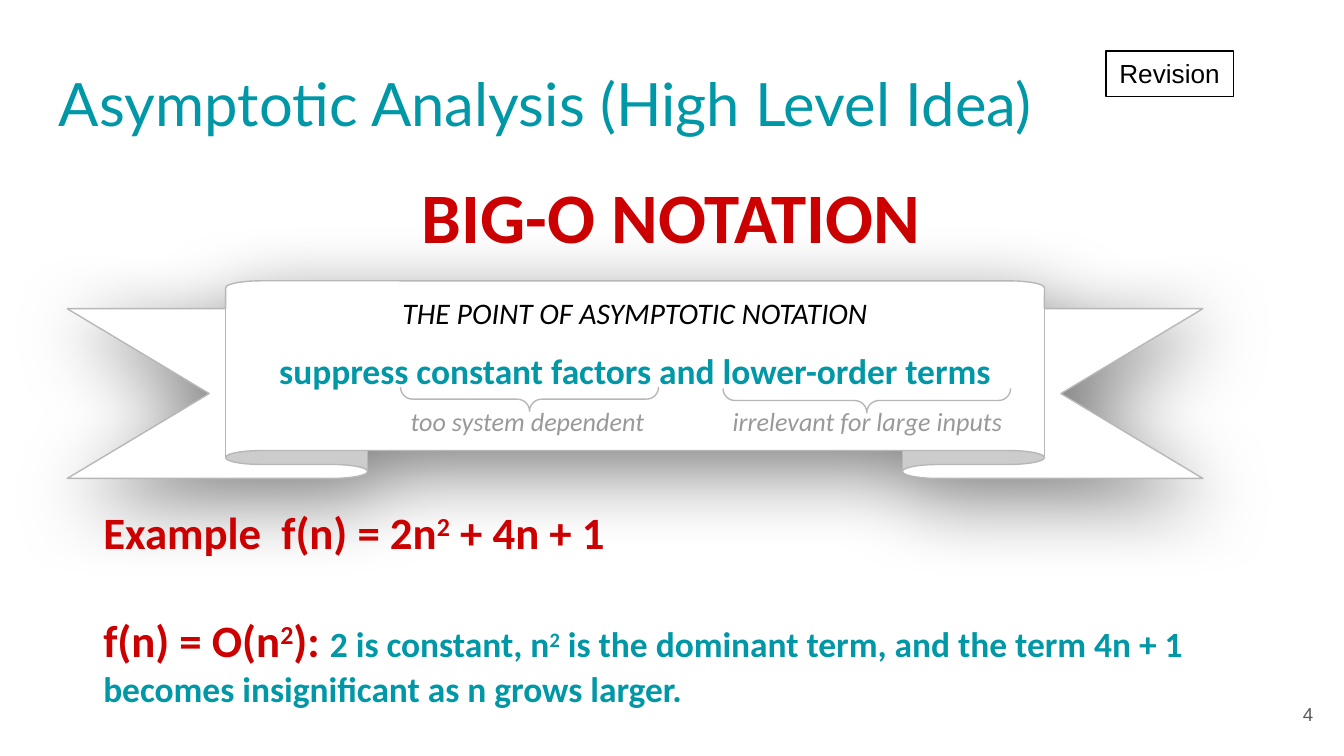
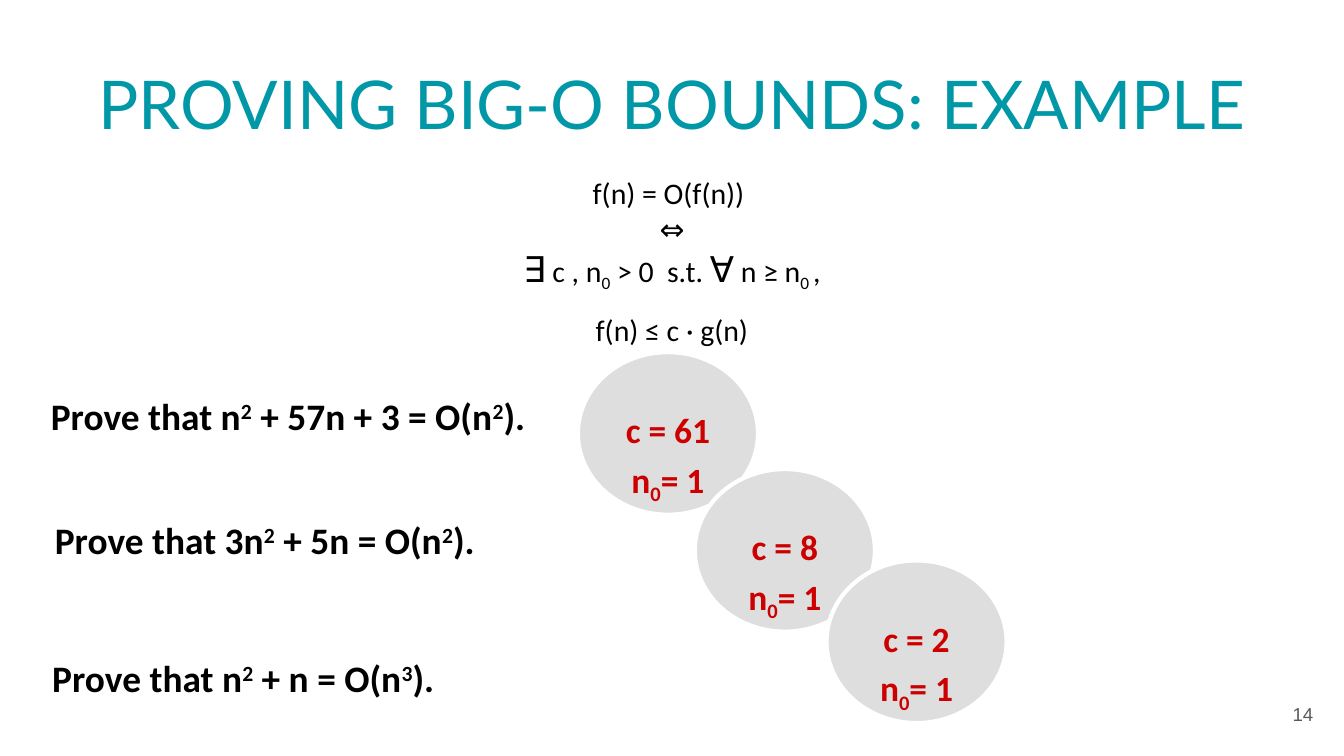
from lxml import etree
from pptx import Presentation
from pptx import util as u
from pptx.dml.color import RGBColor
from pptx.enum import shapes, text
from pptx.oxml.ns import qn

COLORS = {
    "teal": "0097A7",
    "red": "CC0000",
    "black": "000000",
    "white": "FFFFFF",
    "gray": "999999",
    "outline": "B7B7B7",
    "circle": "DEDEDE",
    "number": "595959",
}

STYLES = {
    "title": ("teal", {"name": "Lato", "size": u.Pt(32)}),
    "wide_title": ("teal", {"name": "Lato", "size": u.Pt(36)}),
    "headline": ("red", {"name": "Calibri", "size": u.Pt(38), "bold": True}),
    "motto": ("black", {"name": "Calibri", "size": u.Pt(16), "italic": True}),
    "point": ("teal", {"name": "Calibri", "size": u.Pt(19), "bold": True}),
    "remark": ("gray", {"name": "Calibri", "size": u.Pt(14), "italic": True}),
    "formula": ("red", {"name": "Calibri", "size": u.Pt(24), "bold": True}),
    "definition": ("black", {"name": "Calibri", "size": u.Pt(16)}),
    "quantifier": ("black", {"name": "Calibri", "size": u.Pt(19)}),
    "claim": ("black", {"name": "Calibri", "size": u.Pt(20), "bold": True}),
    "constant": ("red", {"name": "Calibri", "size": u.Pt(19), "bold": True}),
    "number": ("number", {"name": "Arial", "size": u.Pt(10)}),
    "tag": ("black", {"name": "Arial", "size": u.Pt(14)}),
}

SCRIPTS = {"^": "30000", "_": "-25000"}
ALIGN = text.PP_ALIGN
ANCHOR = text.MSO_ANCHOR
SHAPE = shapes.MSO_SHAPE
CENTER = {"alignment": ALIGN.CENTER}
EVEN = (0.1, 0.1, 0.1, 0.1)


def color(name):
    return RGBColor.from_string(COLORS[name])


def apply_format(target, values):
    for name, value in values.items():
        setattr(target, name, value)


def add_runs(paragraph, markup, style):
    color_name, font_format = STYLES[style]
    for piece in markup.split("|"):
        if piece == "\n":
            paragraph.add_line_break()
            continue
        run = paragraph.add_run()
        run.text = piece.lstrip("^_")
        apply_format(run.font, font_format)
        run.font.color.rgb = color(color_name)
        if piece[0] in SCRIPTS:
            run._r.get_or_add_rPr().set("baseline", SCRIPTS[piece[0]])


def write(shape, paragraphs, anchor=ANCHOR.MIDDLE, insets=EVEN, **frame_format):
    frame = shape.text_frame
    left, top, right, bottom = map(u.Inches, insets)
    apply_format(frame, {
        "word_wrap": True, "vertical_anchor": anchor,
        "margin_left": left, "margin_top": top,
        "margin_right": right, "margin_bottom": bottom, **frame_format,
    })
    for index, (runs, paragraph_format) in enumerate(paragraphs):
        paragraph = frame.add_paragraph() if index else frame.paragraphs[0]
        apply_format(paragraph, {"alignment": ALIGN.LEFT, **paragraph_format})
        for markup, style in runs:
            add_runs(paragraph, markup, style)


def add_box(parent, box):
    return parent.shapes.add_textbox(*map(u.Inches, box))


def add_figure(parent, kind, box, fill=None, line=None, width=0.75, adjustments=()):
    shape = parent.shapes.add_shape(kind, *map(u.Inches, box))
    shape.shadow.inherit = False
    for index, value in enumerate(adjustments):
        shape.adjustments[index] = value
    if fill:
        shape.fill.solid()
        shape.fill.fore_color.rgb = color(fill)
    else:
        shape.fill.background()
    if line:
        shape.line.color.rgb = color(line)
        shape.line.width = u.Pt(width)
    else:
        shape.line.fill.background()
    return shape


def add_shadow(shape, blur, distance, angle, opacity):
    effects = shape._element.spPr.find(qn("a:effectLst"))
    shadow = etree.SubElement(effects, qn("a:outerShdw"), {
        "blurRad": str(u.Pt(blur)), "dist": str(u.Pt(distance)),
        "dir": str(angle * 60000), "algn": "bl", "rotWithShape": "0",
    })
    tint = etree.SubElement(shadow, qn("a:srgbClr"), val=COLORS["black"])
    etree.SubElement(tint, qn("a:alpha"), val=str(opacity * 1000))


def add_slide(presentation, title, style, alignment, number):
    slide = presentation.slides.add_slide(presentation.slide_layouts[6])
    shape = add_figure(slide, SHAPE.RECTANGLE, (0.34, 0.41, 9.32, 0.71), line="white", width=2.25)
    write(shape, [([(title, style)], {"alignment": alignment})])
    write(add_box(slide, (9.27, 5.1, 0.6, 0.43)),
          [([(number, "number")], {"alignment": ALIGN.RIGHT})])
    return slide


def add_panel(slide, box, adjustment, paragraphs, insets=EVEN):
    panel = add_figure(slide, SHAPE.ROUNDED_RECTANGLE, box, fill="white", adjustments=[adjustment])
    write(panel, paragraphs, insets=insets)


def add_remark(parent, remark, remark_box, brace_box):
    write(add_box(parent, remark_box), [([(remark, "remark")], CENTER)])
    brace = add_figure(parent, SHAPE.LEFT_BRACE, brace_box, line="outline", adjustments=[0.5, 0.5])
    brace.rotation = 270


def add_ribbon(slide):
    group = slide.shapes.add_group_shape()
    ribbon = add_figure(group, SHAPE.UP_RIBBON, (0.5, 2.09, 8.45, 1.47), fill="white",
                        line="outline", adjustments=[0.141, 0.721])
    add_shadow(ribbon, blur=42.8, distance=12, angle=69, opacity=50)
    write(ribbon, [
        ([("THE POINT OF ASYMPTOTIC NOTATION", "motto")], CENTER),
        ([("suppress constant factors and lower-order terms", "point")],
         {**CENTER, "space_before": u.Pt(10)}),
    ], anchor=ANCHOR.TOP)
    add_remark(group, "too system dependent", (2.73, 2.99, 2.39, 0.28), (3.85, 2.01, 0.18, 1.92))
    add_remark(group, "irrelevant for large inputs", (5.1, 2.99, 2.71, 0.28),
               (6.36, 1.91, 0.18, 2.14))


def add_claim(slide, left, top, claim):
    write(add_box(slide, (left, top, 9.32, 0.55)),
          [([(claim, "claim")], {"line_spacing": 1.14, "space_after": u.Pt(5)})],
          anchor=ANCHOR.TOP)


def add_constants(slide, left, top, constant):
    circle = add_figure(slide, SHAPE.OVAL, (left, top, 1.34, 1.21), fill="circle",
                        line="white", width=2.25)
    paragraph_format = {**CENTER, "line_spacing": 1.14}
    write(circle, [([(line, "constant")], paragraph_format)
                   for line in (f"c = {constant}", "n|_0|= 1")],
          insets=(0.1, 0.31, 0.1, 0))


def build_idea(presentation):
    slide = add_slide(presentation, "Asymptotic Analysis (High Level Idea)", "title",
                      ALIGN.LEFT, "4")
    add_panel(slide, (1.74, 1.05, 6.51, 1.1), 0.341,
              [([("BIG-O NOTATION", "headline")], CENTER)])
    add_ribbon(slide)
    write(add_box(slide, (0.67, 3.71, 9.19, 1.63)), [
        ([("Example  f(n) = 2n|^2| + 4n + 1", "formula")], {}),
        ([("f(n) = O(n|^2|): ", "formula"),
          ("2 is constant, n|^2| is the dominant term, and the term 4n + 1 "
           "becomes insignificant as n grows larger.", "point")],
         {"space_before": u.Pt(29)}),
    ], anchor=ANCHOR.TOP, insets=(0.1, 0.05, 0.1, 0.05),
        auto_size=text.MSO_AUTO_SIZE.SHAPE_TO_FIT_TEXT)
    tag = add_figure(slide, SHAPE.RECTANGLE, (8.23, 0.38, 0.95, 0.34), line="black")
    write(tag, [([("Revision", "tag")], {})], anchor=ANCHOR.TOP,
          insets=(0.1, 0.05, 0.1, 0.05), word_wrap=False,
          auto_size=text.MSO_AUTO_SIZE.SHAPE_TO_FIT_TEXT)


def build_example(presentation):
    slide = add_slide(presentation, "PROVING BIG-O BOUNDS: EXAMPLE", "wide_title",
                      ALIGN.CENTER, "14")
    add_panel(slide, (3.6, 1.27, 2.8, 1.35), 0.167, [
        ([("f(n) = O(f(n)) ", "definition")], CENTER),
        ([("⇔|\n", "definition"), ("∃", "quantifier"),
          (" c , n|_0| > 0  s.t. ", "definition"), ("∀", "quantifier"),
          (" n ≥ n|_0 |,", "definition")], CENTER),
        ([("f(n) ≤ c · g(n)", "definition")], {**CENTER, "space_before": u.Pt(10)}),
    ], insets=(0, 0, 0, 0))
    for left, top, claim in (
        (0.28, 2.78, "Prove that n|^2| + 57n + 3 = O(n|^2|)."),
        (0.31, 3.7, "Prove that 3n|^2| + 5n = O(n|^2|)."),
        (0.29, 4.73, "Prove that n|^2| + n = O(n|^3|)."),
    ):
        add_claim(slide, left, top, claim)
    for left, top, constant in ((4.3, 2.62, 61), (5.17, 3.49, 8), (6.15, 4.17, 2)):
        add_constants(slide, left, top, constant)


def main():
    presentation = Presentation()
    presentation.slide_width = u.Inches(10)
    presentation.slide_height = u.Inches(10) * 9 // 16
    build_idea(presentation)
    build_example(presentation)
    presentation.save("out.pptx")


if __name__ == "__main__":
    main()
